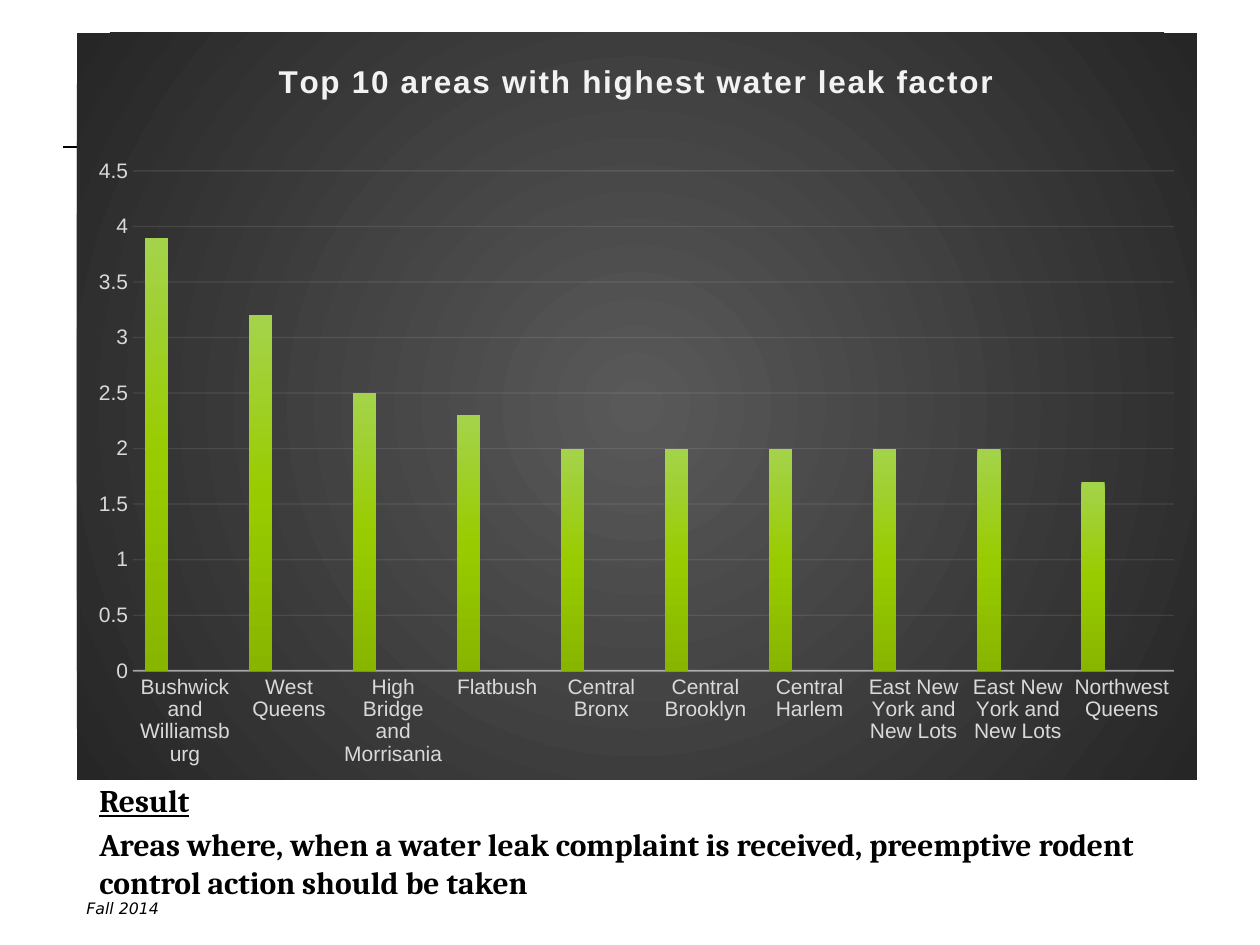
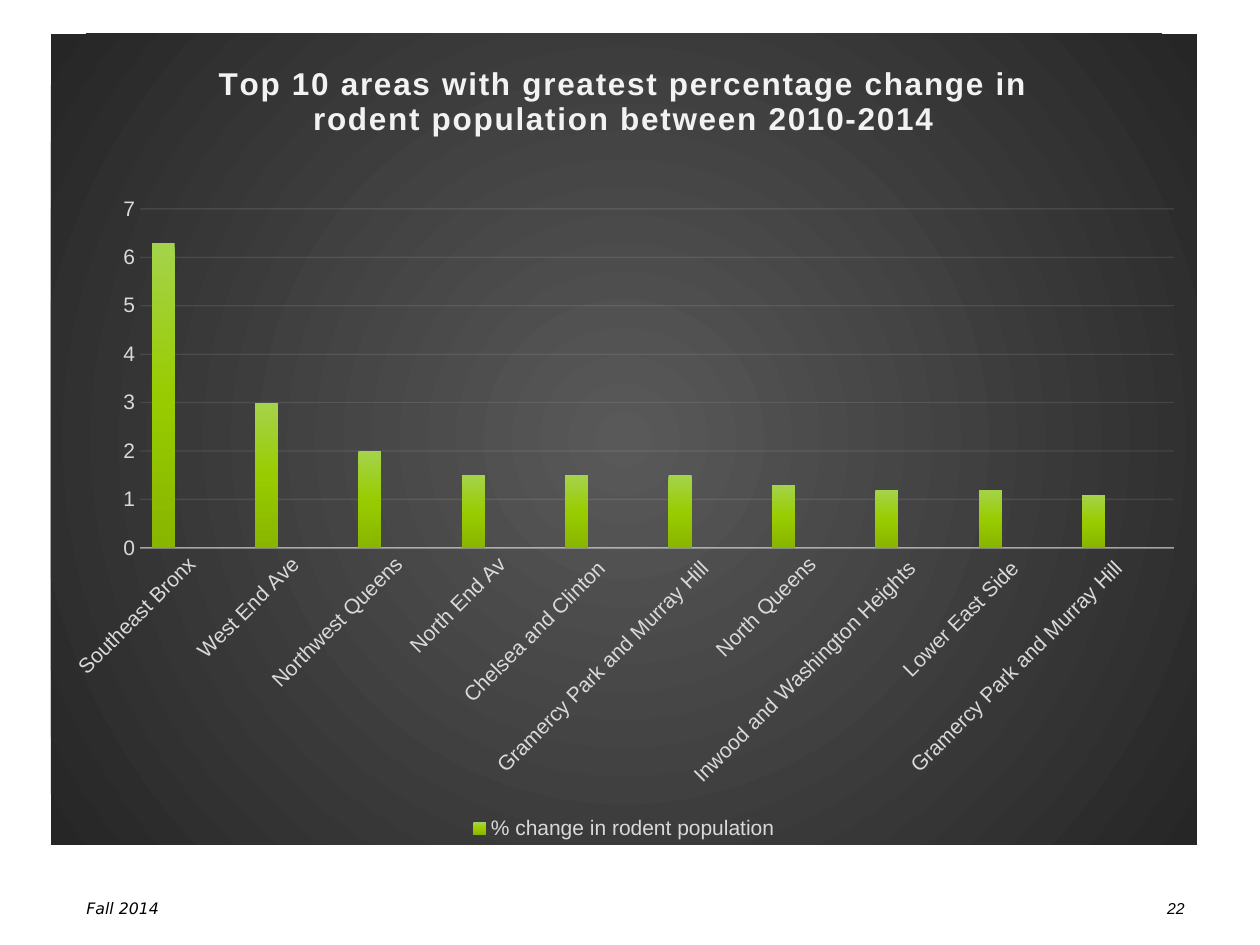
from dataclasses import dataclass

from pptx import Presentation
from pptx.chart.data import CategoryChartData
from pptx.dml.color import RGBColor
from pptx.enum.chart import XL_CHART_TYPE, XL_LEGEND_POSITION, XL_TICK_MARK
from pptx.enum.shapes import MSO_CONNECTOR
from pptx.enum.text import MSO_AUTO_SIZE, PP_ALIGN
from pptx.oxml import parse_xml
from pptx.oxml.ns import nsdecls, qn
from pptx.util import Emu, Pt

COLUMNS = XL_CHART_TYPE.COLUMN_CLUSTERED
BOTTOM = XL_LEGEND_POSITION.BOTTOM
NO_TICK = XL_TICK_MARK.NONE
STRAIGHT = MSO_CONNECTOR.STRAIGHT
GROW = MSO_AUTO_SIZE.SHAPE_TO_FIT_TEXT
LEFT, RIGHT = PP_ALIGN.LEFT, PP_ALIGN.RIGHT

PX_PER_INCH = 126
SLIDE_SIZE = (1260, 945)


@dataclass(frozen=True)
class Theme:
    ink: str = "000000"
    chart_title: str = "F2F2F2"
    chart_label: str = "D9D9D9"
    chart_line: str = "F2F2F2"
    panel: tuple = ((0, "595959"), (100, "262626"))
    bars: tuple = (
        ((0, "A4D34B"), (50, "99CC00"), (100, "88B500")),
        ((0, "D2D27A"), (50, "D1D161"), (100, "C0C050")),
        ((0, "FFFFFF"), (50, "FFFFFF"), (100, "E3E3E3")),
    )
    chart_font: str = "Arial"
    result_font: str = "Cambria"
    footer_font: str = "DejaVu Sans"
    title_size: int = 18
    label_size: int = 12
    result_size: int = 18
    footer_size: int = 9


THEME = Theme()

FOOTER = "Fall 2014"
FOOTER_BOX = (74, 893, 284, 32)
RULE = (63, 147, 1176, 147)
PAGE_NUMBER = "22"
PAGE_NUMBER_BOX = (903, 893, 294, 32)
RESULT_BOX = (87, 775, 1095, 135)
RESULT_HEADING = "Result"
RESULT_TEXT = ("Areas where, when a water leak complaint is received, "
               "preemptive rodent control action should be taken")

WATER_LEAKS = {
    "title": "Top 10 areas with highest water leak factor",
    "series": "Series 1",
    "areas": [
        ("Bushwick and Williamsburg", 3.9),
        ("West Queens", 3.2),
        ("High Bridge and Morrisania", 2.5),
        ("Flatbush", 2.3),
        ("Central Bronx", 2),
        ("Central Brooklyn", 2),
        ("Central Harlem", 2),
        ("East New York and New Lots", 2),
        ("East New York and New Lots", 2),
        ("Northwest Queens", 1.7),
    ],
    "box": (77, 33, 1120, 747),
    "plot": (133, 171, 1041, 500),
    "title_at": (273, 55),
    "axis_top": 4.5,
    "axis_step": 0.5,
    "label_angle": 0,
    "legend": False,
}

RODENT_CHANGE = {
    "title": "Top 10 areas with greatest percentage change in "
             "rodent population between 2010-2014",
    "series": "% change in rodent population",
    "areas": [
        ("Southeast Bronx", 6.3),
        ("West End Ave", 3),
        ("Northwest Queens", 2),
        ("North End Av", 1.5),
        ("Chelsea and Clinton ", 1.5),
        ("Gramercy Park and Murray Hill ", 1.5),
        ("North Queens", 1.3),
        ("Inwood and Washington Heights ", 1.2),
        ("Lower East Side ", 1.2),
        ("Gramercy Park and Murray Hill ", 1.1),
    ],
    "box": (51, 34, 1146, 811),
    "plot": (140, 209, 1034, 339),
    "title_at": (213, 57),
    "axis_top": 7,
    "axis_step": 1,
    "label_angle": -45,
    "legend": True,
}


def px(*lengths):
    return [Emu(round(length * 914400 / PX_PER_INCH)) for length in lengths]


def style(font, name, size, color, **flags):
    font.name, font.size = name, Pt(size)
    font.color.rgb = RGBColor.from_string(color)
    for flag, value in flags.items():
        setattr(font, flag, value)


def add_text(slide, box, align=LEFT):
    frame = slide.shapes.add_textbox(*px(*box)).text_frame
    frame.word_wrap = True
    frame.paragraphs[0].alignment = align
    return frame


def add_run(paragraph, text, *look, **flags):
    run = paragraph.add_run()
    run.text = text
    style(run.font, *look, **flags)


def gradient(stops, direction):
    marks = "".join(
        f'<a:gs pos="{pos * 1000}"><a:srgbClr val="{color}"/></a:gs>'
        for pos, color in stops)
    return parse_xml(f'<a:gradFill {nsdecls("a")} rotWithShape="1">'
                     f'<a:gsLst>{marks}</a:gsLst>{direction}</a:gradFill>')


DOWNWARD = '<a:lin ang="5400000" scaled="0"/>'
FROM_CENTRE = ('<a:path path="circle"><a:fillToRect l="50000" t="50000" '
               'r="50000" b="50000"/></a:path>')


def set_layout(part, index, chart_box, place, inner=False):
    """Pin a chart part to slide px, as fractions of the chart box."""
    for old in part.findall(qn("c:layout")):
        part.remove(old)
    left, top, width, height = chart_box
    fractions = [(place[0] - left) / width, (place[1] - top) / height]
    fractions += [size / whole for size, whole in zip(place[2:], (width, height))]
    target = '<c:layoutTarget val="inner"/>' if inner else ""
    modes = '<c:xMode val="edge"/><c:yMode val="edge"/>'
    values = "".join(f'<c:{key} val="{value:.4f}"/>'
                     for key, value in zip("xywh", fractions))
    part.insert(index, parse_xml(
        f'<c:layout {nsdecls("c")}><c:manualLayout>{target}{modes}{values}'
        f'</c:manualLayout></c:layout>'))


def set_line(line, width):
    line.color.rgb = RGBColor.from_string(THEME.chart_line)
    line.width = Pt(width)


def set_alpha(chart, query, percent):
    color = chart.element.xpath(query)[0]
    color.append(parse_xml(f'<a:alpha {nsdecls("a")} val="{percent * 1000}"/>'))


def format_axes(chart, content):
    areas, values = chart.category_axis, chart.value_axis
    for axis in (areas, values):
        axis.major_tick_mark = axis.minor_tick_mark = NO_TICK
        style(axis.tick_labels.font, THEME.chart_font, THEME.label_size,
              THEME.chart_label)
    values.minimum_scale = 0
    values.maximum_scale = content["axis_top"]
    values.major_unit = content["axis_step"]
    values.has_major_gridlines = True
    values.format.line.fill.background()
    set_line(areas.format.line, 1)
    set_line(values.major_gridlines.format.line, 0.75)
    set_alpha(chart, "//c:catAx/c:spPr//a:srgbClr", 54)
    set_alpha(chart, "//c:majorGridlines//a:srgbClr", 10)
    label_body = chart.element.xpath("//c:catAx/c:txPr/a:bodyPr")[0]
    label_body.set("rot", str(content["label_angle"] * 60000))
    label_body.set("vert", "horz")


def format_legend(chart):
    chart.has_legend = True
    legend = chart.legend
    legend.position, legend.include_in_layout = BOTTOM, False
    style(legend.font, THEME.chart_font, THEME.label_size, THEME.chart_label)
    position = chart.element.xpath("//c:legendPos")[0]
    for empty_series in (2, 1):
        position.addnext(parse_xml(
            f'<c:legendEntry {nsdecls("c")}><c:idx val="{empty_series}"/>'
            f'<c:delete val="1"/></c:legendEntry>'))


def add_ranking_chart(slide, content):
    names, values = zip(*content["areas"])
    data = CategoryChartData()
    data.categories = names
    data.add_series(content["series"], values)
    for name in ("Series 2", "Series 3"):
        data.add_series(name, [None] * len(names))
    box = content["box"]
    chart = slide.shapes.add_chart(COLUMNS, *px(*box), data).chart
    style(chart.font, THEME.chart_font, 10, THEME.ink)

    plot = chart.plots[0]
    plot.gap_width, plot.overlap, plot.vary_by_categories = 100, -24, False
    for series, stops in zip(chart.element.xpath("//c:ser"), THEME.bars):
        series.get_or_add_spPr().insert(0, gradient(stops, DOWNWARD))
    panel = parse_xml(f'<c:spPr {nsdecls("c", "a")}><a:ln><a:noFill/></a:ln></c:spPr>')
    panel.insert(0, gradient(THEME.panel, FROM_CENTRE))
    chart.element.find(qn("c:chart")).addnext(panel)

    chart.has_title = True
    add_run(chart.chart_title.text_frame.paragraphs[0], content["title"],
            THEME.chart_font, THEME.title_size, THEME.chart_title, bold=True)
    chart.element.xpath("//c:title//a:rPr")[0].set("spc", "100")
    set_layout(chart.element.xpath("//c:title")[0], 1, box, content["title_at"])
    set_layout(chart.element.xpath("//c:plotArea")[0], 0, box, content["plot"], True)

    format_axes(chart, content)
    if content["legend"]:
        format_legend(chart)
    else:
        chart.has_legend = False


def add_shared_frame(slide):
    """Draw the rule and footer, then move them to the layout."""
    layout = slide.slide_layout
    for placeholder in list(layout.placeholders):
        layout.shapes.element.remove(placeholder.element)
    rule = slide.shapes.add_connector(STRAIGHT, *px(*RULE))
    rule.line.color.rgb = RGBColor.from_string(THEME.ink)
    rule.line.width = Pt(1.5)
    rule.element.spPr.append(parse_xml(f'<a:effectLst {nsdecls("a")}/>'))
    footer = add_text(slide, FOOTER_BOX)
    add_run(footer.paragraphs[0], FOOTER, THEME.footer_font,
            THEME.footer_size, THEME.ink, italic=True)
    for shape in list(slide.shapes):
        layout.shapes.element.append(shape.element)


def add_result(slide):
    frame = add_text(slide, RESULT_BOX)
    frame.auto_size = GROW
    look = (THEME.result_font, THEME.result_size, THEME.ink)
    add_run(frame.paragraphs[0], RESULT_HEADING, *look, bold=True, underline=True)
    finding = frame.add_paragraph()
    finding.space_before = Pt(3.6)
    add_run(finding, RESULT_TEXT, *look, bold=True)


def main():
    deck = Presentation()
    deck.slide_width, deck.slide_height = px(*SLIDE_SIZE)
    blank = deck.slide_layouts[6]

    leaks = deck.slides.add_slide(blank)
    add_shared_frame(leaks)
    add_ranking_chart(leaks, WATER_LEAKS)
    add_result(leaks)

    rodents = deck.slides.add_slide(blank)
    add_ranking_chart(rodents, RODENT_CHANGE)
    number = add_text(rodents, PAGE_NUMBER_BOX, RIGHT)
    add_run(number.paragraphs[0], PAGE_NUMBER, THEME.chart_font,
            THEME.footer_size, THEME.ink, italic=True)

    deck.save("out.pptx")


if __name__ == "__main__":
    main()
